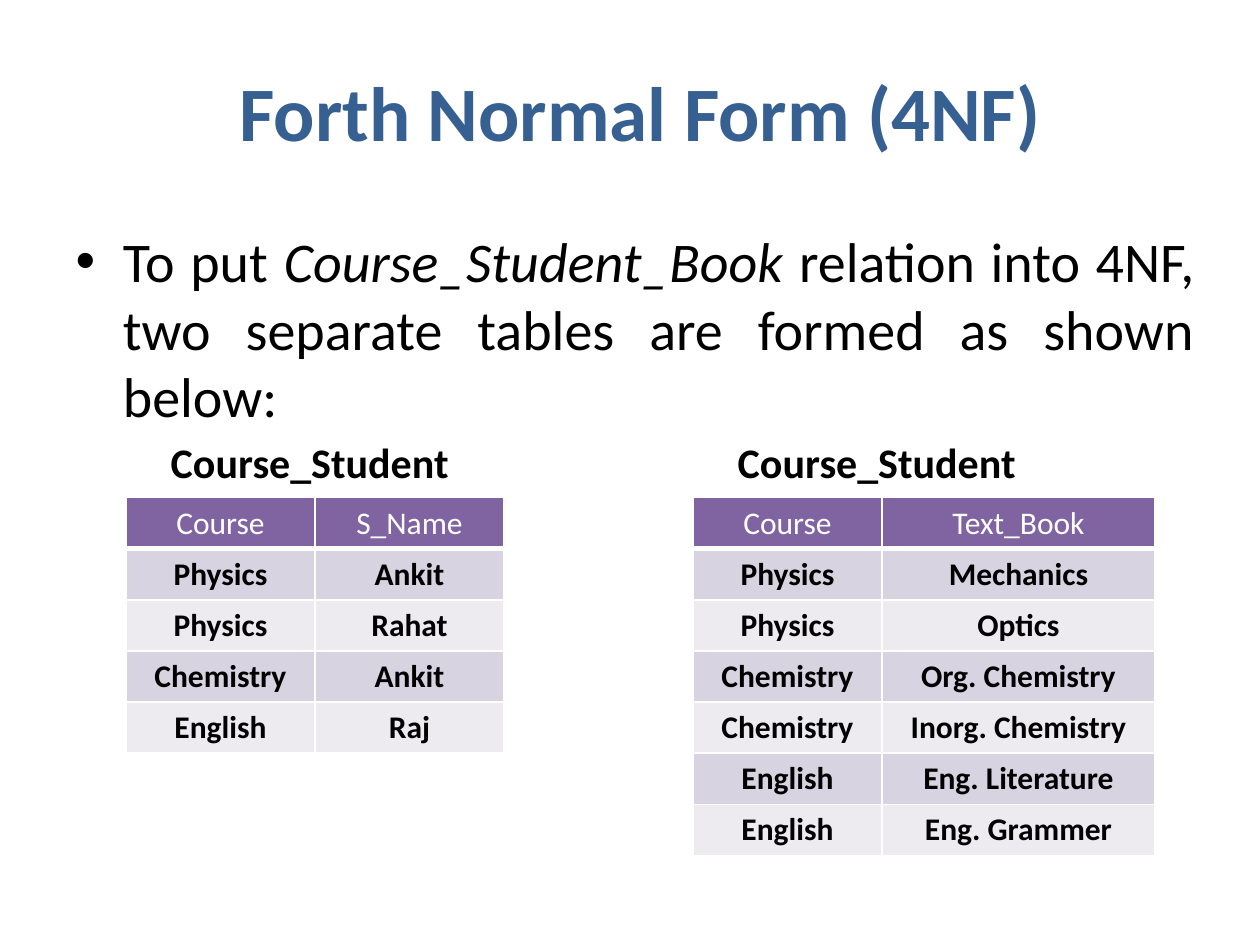
from lxml import etree
from pptx import Presentation
from pptx.dml.color import RGBColor
from pptx.enum.text import MSO_ANCHOR, MSO_AUTO_SIZE, PP_ALIGN
from pptx.oxml.ns import qn
from pptx.util import Pt

CENTER, JUSTIFY = PP_ALIGN.CENTER, PP_ALIGN.JUSTIFY
MIDDLE, TOP = MSO_ANCHOR.MIDDLE, MSO_ANCHOR.TOP
NO_AUTOFIT = MSO_AUTO_SIZE.NONE

COLORS = {
    "title": "376092",
    "text": "000000",
    "white": "FFFFFF",
    "header": "8064A2",
    "odd_row": "D8D3E0",
    "even_row": "EDEAF0",
}
FONT = "Calibri"
ROW_HEIGHT = 28.8
TABLE_TOP = 284.4

STUDENTS = [
    ("Course", "S_Name"),
    ("Physics", "Ankit"),
    ("Physics", "Rahat"),
    ("Chemistry", "Ankit"),
    ("English", "Raj"),
]
BOOKS = [
    ("Course", "Text_Book"),
    ("Physics", "Mechanics"),
    ("Physics", "Optics"),
    ("Chemistry", "Org. Chemistry"),
    ("Chemistry", "Inorg. Chemistry"),
    ("English", "Eng. Literature"),
    ("English", "Eng. Grammer"),
]


class SlideBuilder:
    def __init__(self, slide):
        self.slide = slide

    def format_run(self, run, size, color="text", bold=False, italic=False):
        run.font.name = FONT
        run.font.size = Pt(size)
        run.font.bold = bold
        run.font.italic = italic
        run.font.color.rgb = RGBColor.from_string(COLORS[color])

    def place(self, shape, left, top, width, height):
        shape.left, shape.top = Pt(left), Pt(top)
        shape.width, shape.height = Pt(width), Pt(height)
        shape.text_frame.word_wrap = True
        shape.text_frame.auto_size = NO_AUTOFIT

    def title(self, text, *box):
        shape = self.slide.shapes.title
        self.place(shape, *box)
        shape.text_frame.text = text
        shape.text_frame.vertical_anchor = MIDDLE
        paragraph = shape.text_frame.paragraphs[0]
        paragraph.alignment = CENTER
        self.format_run(paragraph.runs[0], 44, "title", bold=True)

    def body(self, parts, *box):
        """Fill the body with one bullet made of (text, italic) parts."""
        shape = self.slide.placeholders[1]
        self.place(shape, *box)
        shape.text_frame.vertical_anchor = TOP
        paragraph = shape.text_frame.paragraphs[0]
        paragraph.alignment = JUSTIFY
        for text, italic in parts:
            run = paragraph.add_run()
            run.text = text
            self.format_run(run, 32, italic=italic)

    def caption(self, text, *box):
        shape = self.slide.shapes.add_textbox(0, 0, 0, 0)
        self.place(shape, *box)
        shape.text_frame.text = text
        paragraph = shape.text_frame.paragraphs[0]
        paragraph.alignment = CENTER
        self.format_run(paragraph.runs[0], 24, bold=True)

    def cell_borders(self, cell, bottom_width):
        properties = cell._tc.get_or_add_tcPr()
        widths = {"a:lnL": 1, "a:lnR": 1, "a:lnT": 1, "a:lnB": bottom_width}
        for position, (tag, width) in enumerate(widths.items()):
            line = etree.Element(qn(tag), w=str(Pt(width)))
            fill = etree.SubElement(line, qn("a:solidFill"))
            etree.SubElement(fill, qn("a:srgbClr"), val=COLORS["white"])
            properties.insert(position, line)

    def table(self, rows, left, column_widths):
        table = self.slide.shapes.add_table(
            len(rows), len(column_widths), Pt(left), Pt(TABLE_TOP),
            Pt(sum(column_widths)), Pt(ROW_HEIGHT * len(rows))).table
        for column, width in zip(table.columns, column_widths):
            column.width = Pt(width)
        for row_index, row in enumerate(rows):
            is_header = row_index == 0
            band = "odd_row" if row_index % 2 else "even_row"
            for column_index, text in enumerate(row):
                cell = table.cell(row_index, column_index)
                cell.text_frame.text = text
                cell.fill.solid()
                cell.fill.fore_color.rgb = RGBColor.from_string(
                    COLORS["header" if is_header else band])
                self.cell_borders(cell, 3 if is_header else 1)
                paragraph = cell.text_frame.paragraphs[0]
                paragraph.alignment = CENTER
                self.format_run(paragraph.runs[0], 18,
                                "white" if is_header else "text",
                                bold=not is_header)


def main():
    presentation = Presentation()
    presentation.slide_width, presentation.slide_height = Pt(720), Pt(540)
    slide = presentation.slides.add_slide(presentation.slide_layouts[1])
    builder = SlideBuilder(slide)
    builder.title("Forth Normal Form (4NF)", 42, 18, 648, 90)
    builder.body([
        ("To put ", False),
        ("Course_Student_Book", True),
        (" relation into 4NF, two separate tables are formed as shown below:",
         False),
    ], 36, 126, 654, 126)
    for rows, left, column_widths in [(STUDENTS, 72, (108, 108)),
                                      (BOOKS, 396, (108, 156))]:
        builder.table(rows, left, column_widths)
        builder.caption("Course_Student", left + 12, 246, 186, 37)
    presentation.save("out.pptx")


if __name__ == "__main__":
    main()
